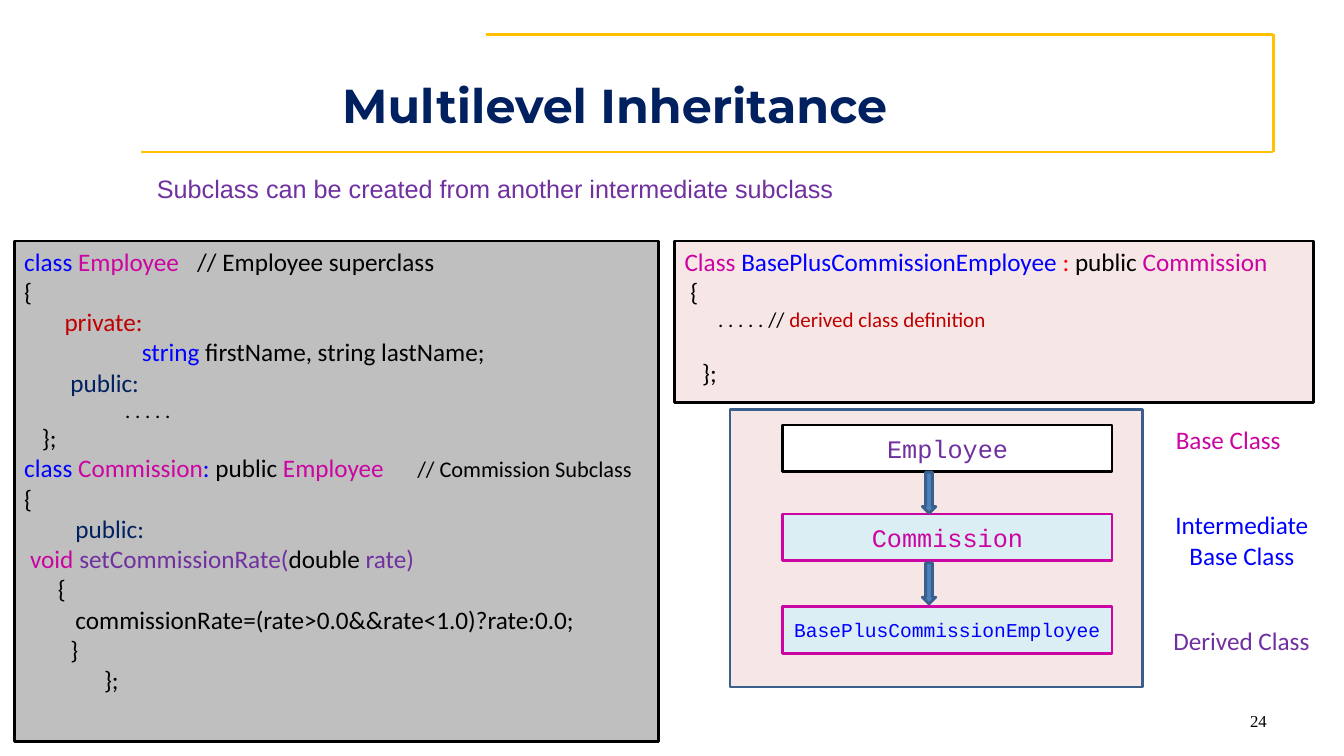
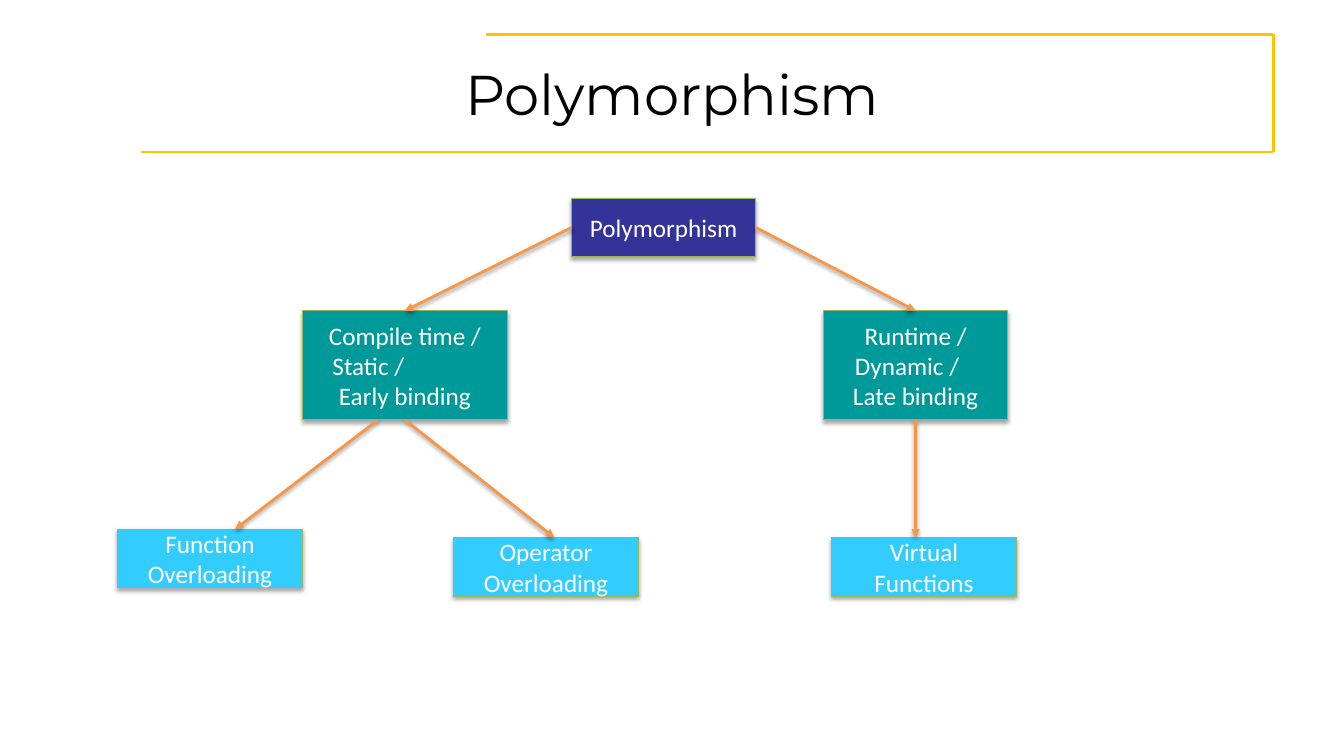
from dataclasses import dataclass
from typing import NamedTuple, Optional

from lxml import etree
from pptx import Presentation
from pptx.dml.color import RGBColor
from pptx.enum.shapes import MSO_CONNECTOR, MSO_SHAPE
from pptx.enum.text import MSO_ANCHOR, MSO_AUTO_SIZE, PP_ALIGN
from pptx.oxml.ns import qn
from pptx.util import Inches, Pt

RECT = MSO_SHAPE.RECTANGLE
DOWN = MSO_SHAPE.DOWN_ARROW
LINE = MSO_CONNECTOR.STRAIGHT
LEFT, MID, RIGHT = PP_ALIGN.LEFT, PP_ALIGN.CENTER, PP_ALIGN.RIGHT
TOP, CORE = MSO_ANCHOR.TOP, MSO_ANCHOR.MIDDLE
FIXED = MSO_AUTO_SIZE.NONE

CELL = 1 / 12
COLS, ROWS = 160, 90
INSET = 1.2

HUES = {
    "gold": "FFC100", "navy": "002060", "black": "000000", "white": "FFFFFF",
    "gray": "BFBFBF", "blue": "0000FF", "pink": "CC04A1", "red": "C00000",
    "scarlet": "FF0000", "purple": "7030A0", "blush": "F6E7E6",
    "ice": "DBEEF4", "steel": "4F81BD", "slate": "3A5F8C", "indigo": "333399",
    "teal": "009999", "sky": "33CCFF", "olive": "98B955", "orange": "F79646",
}


class Area(NamedTuple):
    col: float
    row: float
    wide: float
    high: float


class Run(NamedTuple):
    text: str
    hue: str = "black"
    size: Optional[float] = None


@dataclass
class Para:
    runs: list[Run]
    size: float = 18
    font: str = "Calibri"
    align: PP_ALIGN = LEFT
    pad: float = 0
    tab: float = 0
    before: float = 0
    space: Optional[float] = None
    bold: bool = False


@dataclass
class Look:
    fill: str
    line: str
    width: float = 2
    shade: bool = False


@dataclass
class Node:
    area: Area
    fill: str
    lines: list[tuple[str, float]]


def cells(count: float) -> int:
    return Inches(count * CELL)


def tint(hue: str) -> RGBColor:
    return RGBColor.from_string(HUES[hue])


def effect(props, dist: int = 0, alpha: int = 0) -> None:
    for old in props.findall(qn("a:effectLst")):
        props.remove(old)
    glow = etree.SubElement(props, qn("a:effectLst"))
    if dist:
        shade = etree.SubElement(glow, qn("a:outerShdw"), blurRad="40000",
                                 dist=str(dist), dir="5400000", rotWithShape="0")
        tone = etree.SubElement(shade, qn("a:srgbClr"), val=HUES["black"])
        etree.SubElement(tone, qn("a:alpha"), val=str(alpha * 1000))


def write(frame, paras: list[Para], anchor: MSO_ANCHOR = TOP) -> None:
    frame.word_wrap = True
    frame.auto_size = FIXED
    frame.vertical_anchor = anchor
    for spot, item in enumerate(paras):
        para = frame.add_paragraph() if spot else frame.paragraphs[0]
        para.alignment = item.align
        props = para._p.get_or_add_pPr()
        if item.pad:
            props.set("marL", str(cells(item.pad)))
            props.set("indent", "0")
        if item.tab:
            stops = etree.SubElement(props, qn("a:tabLst"))
            etree.SubElement(stops, qn("a:tab"), pos=str(cells(item.tab)), algn="l")
        if item.before:
            para.space_before = Pt(item.before)
        if item.space:
            para.line_spacing = item.space
        para.font.name = item.font
        para.font.size = Pt(item.size)
        para.font.bold = item.bold
        same = len({part.hue for part in item.runs}) == 1
        if same:
            para.font.color.rgb = tint(item.runs[0].hue)
        for part in item.runs:
            run = para.add_run()
            run.text = part.text
            if not same:
                run.font.color.rgb = tint(part.hue)
            if part.size:
                run.font.size = Pt(part.size)


def place(shape, area: Area) -> None:
    shape.left, shape.top, shape.width, shape.height = map(cells, area)


def box(slide, area: Area, look: Look, paras: Optional[list[Para]] = None,
        anchor: MSO_ANCHOR = CORE, kind: MSO_SHAPE = RECT):
    shape = slide.shapes.add_shape(kind, *map(cells, area))
    shape.shadow.inherit = False
    shape.fill.solid()
    shape.fill.fore_color.rgb = tint(look.fill)
    shape.line.color.rgb = tint(look.line)
    shape.line.width = Pt(look.width)
    if look.shade:
        effect(shape._element.spPr, 23000, 35)
    if paras:
        write(shape.text_frame, paras, anchor)
    return shape


def label(slide, area: Area, paras: list[Para], anchor: MSO_ANCHOR = TOP) -> None:
    write(slide.shapes.add_textbox(*map(cells, area)).text_frame, paras, anchor)


def stroke(slide, start: tuple, end: tuple, hue: str):
    line = slide.shapes.add_connector(LINE, *map(cells, start + end))
    line.line.color.rgb = tint(hue)
    line.line.width = Pt(2)
    effect(line._element.spPr)
    return line


def arrow(slide, start: tuple, end: tuple):
    line = stroke(slide, start, end, "orange")
    etree.SubElement(line.line._get_or_add_ln(), qn("a:tailEnd"), type="triangle")
    effect(line._element.spPr, 20000, 38)
    return line


def border(slide, layout) -> None:
    path = [(57.8, 4.1), (151.6, 4.1), (151.6, 18.1), (16.8, 18.1)]
    for start, end in zip(path, path[1:]):
        layout.shapes.element.append(stroke(slide, start, end, "gold")._element)


def title(slide, area: Area, para: Para) -> None:
    place(slide.shapes.title, area)
    write(slide.shapes.title.text_frame, [para], CORE)


BASE = [
    Para([Run("class ", "blue"), Run("Employee", "pink"),
          Run("\t// Employee superclass")], tab=20.6),
    Para([Run("{")]),
    Para([Run("private:", "red")], pad=4.8),
    Para([Run("string ", "blue"), Run("firstName, string lastName;")], pad=14),
    Para([Run("public:", "navy")], pad=5.5),
    Para([Run(". . . . .")], size=15, pad=12),
    Para([Run("};")], pad=2.1),
    Para([Run("class ", "blue"), Run("Commission", "pink"), Run(": ", "blue"),
          Run("public "), Run("Employee", "pink"),
          Run("\t// Commission Subclass", size=16)], tab=46.8),
    Para([Run("{")]),
    Para([Run("public:", "navy")], pad=6.1),
    Para([Run("void ", "pink"), Run("setCommissionRate(", "purple"),
          Run("double"), Run(" rate)", "purple")], pad=0.7),
    Para([Run("{")], pad=4),
    Para([Run("commissionRate=(rate>0.0&&rate<1.0)?rate:0.0;")], pad=6.1),
    Para([Run("}")], pad=5.5),
    Para([Run("};")], pad=9.5),
]

CHILD = [
    Para([Run("Class ", "pink"), Run("BasePlusCommissionEmployee ", "blue"),
          Run(":", "scarlet"), Run(" public "), Run("Commission", "pink")]),
    Para([Run("{")], pad=0.7),
    Para([Run(". . . . . // "), Run("derived class definition", "red")],
         size=15, pad=4),
    Para([Run("};")], pad=2.1, before=18.3),
]

CHAIN = [
    (50.6, 5.5, "Employee", "purple", 18, Look("white", "black")),
    (61.2, 5.5, "Commission", "pink", 18, Look("ice", "pink")),
    (72.2, 5.6, "BasePlusCommissionEmployee", "blue", 14, Look("ice", "pink")),
]

TAGS = [
    (Area(138.8, 49.9, 16, 4.8), ["Base Class"], "pink", LEFT),
    (Area(138.6, 60.1, 18.5, 8.5), ["Intermediate", "Base Class"], "blue", MID),
    (Area(136.3, 73.8, 23, 4.8), ["Derived Class"], "purple", MID),
]

NODES = {
    "root": Node(Area(68, 23.6, 22, 7), "indigo", [("Polymorphism", 0)]),
    "early": Node(Area(36, 37, 24.4, 13), "teal",
                  [("Compile time /", 0), ("Static /", 2.4), ("Early binding", 0)]),
    "late": Node(Area(98, 37, 22, 13), "teal",
                 [("Runtime /", 0), ("Dynamic /", 2.6), ("Late binding", 0)]),
    "function": Node(Area(14, 63, 22, 7), "sky", [("Function Overloading", 0)]),
    "symbol": Node(Area(54, 64, 22, 7), "sky", [("Operator Overloading", 0)]),
    "virtual": Node(Area(99, 64, 22, 7), "sky", [("Virtual Functions", 0)]),
}

LINKS = [
    ((68, 27.1), (48.2, 37), ("root", 1), ("early", 0)),
    ((90, 27.1), (109, 37), ("root", 3), ("late", 0)),
    ((45, 50), (28, 63), None, None),
    ((48.2, 50), (66, 64), ("early", 2), None),
    ((109, 50), (109, 64), ("late", 2), None),
]


def levels(slide) -> None:
    title(slide, Area(21.4, 8.3, 103.6, 8.3),
          Para([Run("Multilevel Inheritance", "navy")], 34, "Montserrat", MID, bold=True))
    box(slide, Area(1.7, 28.7, 76.7, 59.6), Look("gray", "black"), BASE, TOP)
    label(slide, Area(114.7, 83.4, 37.3, 4.8),
          [Para([Run("24")], 12, "Times New Roman", RIGHT)], CORE)
    label(slide, Area(11.9, 19.3, 94.1, 5.5),
          [Para([Run("Subclass can be created from another intermediate subclass",
                     "purple")], 18, "Arial", MID, space=1.2)])
    box(slide, Area(86.9, 48.8, 49.1, 33), Look("blush", "slate"))
    for row, high, text, hue, size, look in CHAIN:
        box(slide, Area(93.2, row, 39.2, high), look,
            [Para([Run(text, hue)], size, "Courier New", MID)])
    for row in (56.2, 67):
        box(slide, Area(109.8, row, 1.6, 4.9), Look("steel", "slate"), kind=DOWN)
    code = box(slide, Area(80.3, 28.7, 76.1, 19.2), Look("blush", "black"), CHILD, TOP)
    code.text_frame.margin_left = cells(INSET)
    code.text_frame.margin_right = 0
    for area, lines, hue, align in TAGS:
        label(slide, area, [Para([Run(text, hue)], align=align) for text in lines])


def tree(slide) -> None:
    title(slide, Area(8, 3.6, 144, 15),
          Para([Run("Polymorphism")], 40, "Montserrat", MID))
    shapes = {}
    for name, node in NODES.items():
        paras = [Para([Run(text, "white")], align=LEFT if pad else MID, pad=pad)
                 for text, pad in node.lines]
        shapes[name] = box(slide, node.area, Look(node.fill, "olive", 0.75, True), paras)
    for start, end, tail, head in LINKS:
        line = arrow(slide, start, end)
        if tail:
            line.begin_connect(shapes[tail[0]], tail[1])
        if head:
            line.end_connect(shapes[head[0]], head[1])


def main() -> None:
    deck = Presentation()
    deck.slide_width, deck.slide_height = cells(COLS), cells(ROWS)
    layout = deck.slide_layouts[5]
    first, second = (deck.slides.add_slide(layout) for _ in range(2))
    border(first, layout)
    levels(first)
    tree(second)
    deck.save("out.pptx")


if __name__ == "__main__":
    main()
